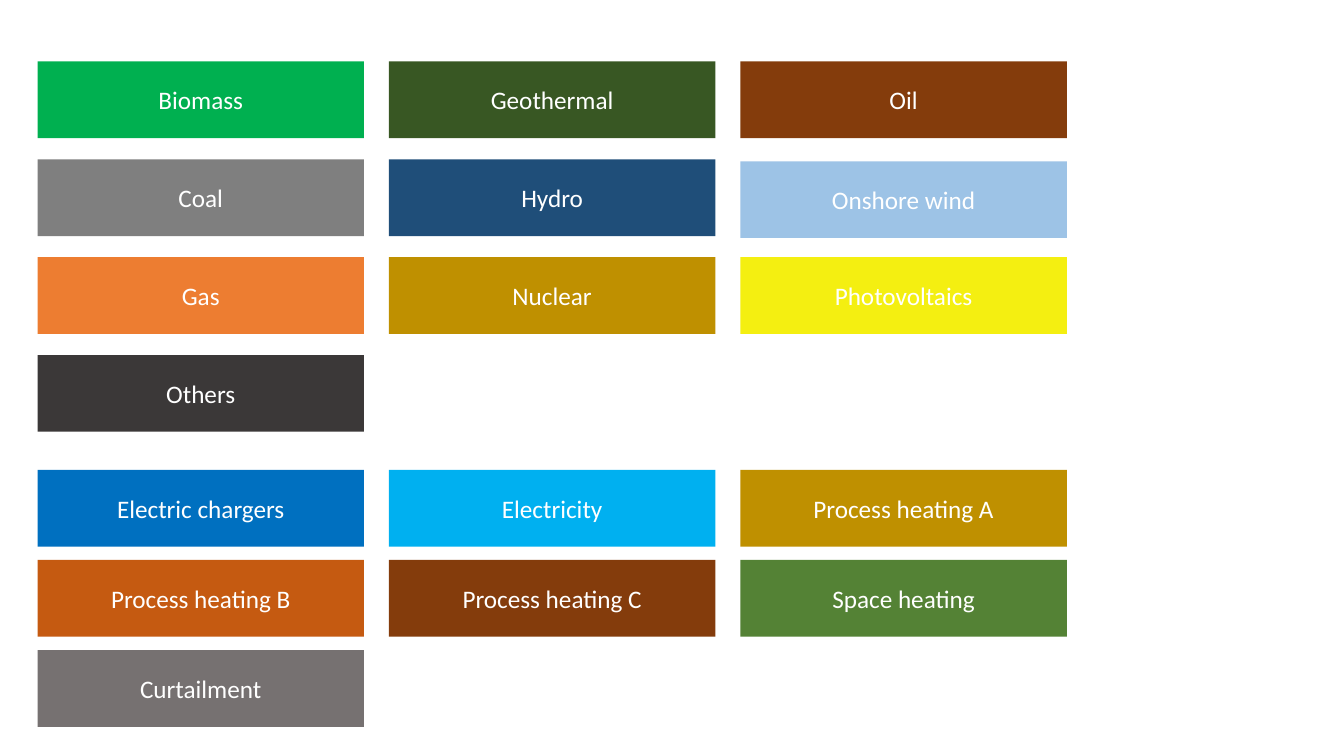
from pptx import Presentation
from pptx import util as u
from pptx.dml.color import RGBColor
from pptx.enum import shapes, text

# Content: each group is a list of rows of (label, fill)
SOURCES = [
    [("Biomass", "00B050"), ("Geothermal", "385723"), ("Oil", "843C0C")],
    [("Coal", "7F7F7F"), ("Hydro", "1F4E79"), ("Onshore wind", "9DC3E6")],
    [("Gas", "ED7D31"), ("Nuclear", "BF9000"), ("Photovoltaics", "F4EF11")],
    [("Others", "3B3838")],
]
USES = [
    [("Electric chargers", "0070C0"), ("Electricity", "00B0F0"), ("Process heating A", "BF9000")],
    [("Process heating B", "C55A11"), ("Process heating C", "843C0C"), ("Space heating", "548235")],
    [("Curtailment", "767171")],
]
# (rows, top of first row, distance between rows)
GROUPS = [(SOURCES, 43.9, 69.9), (USES, 335.6, 64.4)]
NUDGE_DOWN = {"Onshore wind": 1.4}

# Layout in points
LEFT, COLUMN_STEP = 26.8, 251
WIDTH, HEIGHT = 233.2, 54.8


def color(hex_value):
    return RGBColor.from_string(hex_value)


FONT = {"name": "Calibri", "size": u.Pt(18)}
FRAME = {"word_wrap": True, "vertical_anchor": text.MSO_ANCHOR.MIDDLE}


def apply(target, values):
    for key, value in values.items():
        setattr(target, key, value)


def add_category(slide, label, fill, left, top):
    category = slide.shapes.add_shape(
        shapes.MSO_SHAPE.RECTANGLE, u.Pt(left), u.Pt(top), u.Pt(WIDTH), u.Pt(HEIGHT))
    category.shadow.inherit = False
    category.fill.solid()
    category.fill.fore_color.rgb = color(fill)
    category.line.fill.background()
    apply(category.text_frame, FRAME)
    caption = category.text_frame.paragraphs[0]
    caption.alignment = text.PP_ALIGN.CENTER
    run = caption.add_run()
    run.text = label
    apply(run.font, FONT)
    run.font.color.rgb = color("FFFFFF")


# Slide
deck = Presentation()
deck.slide_width, deck.slide_height = u.Pt(960), u.Pt(540)
legend = deck.slides.add_slide(deck.slide_layouts[6])

# Both groups share the same columns
for rows, first_top, row_step in GROUPS:
    for row_index, row in enumerate(rows):
        for column, (label, fill) in enumerate(row):
            top = first_top + row_index * row_step + NUDGE_DOWN.get(label, 0)
            add_category(legend, label, fill, LEFT + column * COLUMN_STEP, top)

deck.save("out.pptx")
